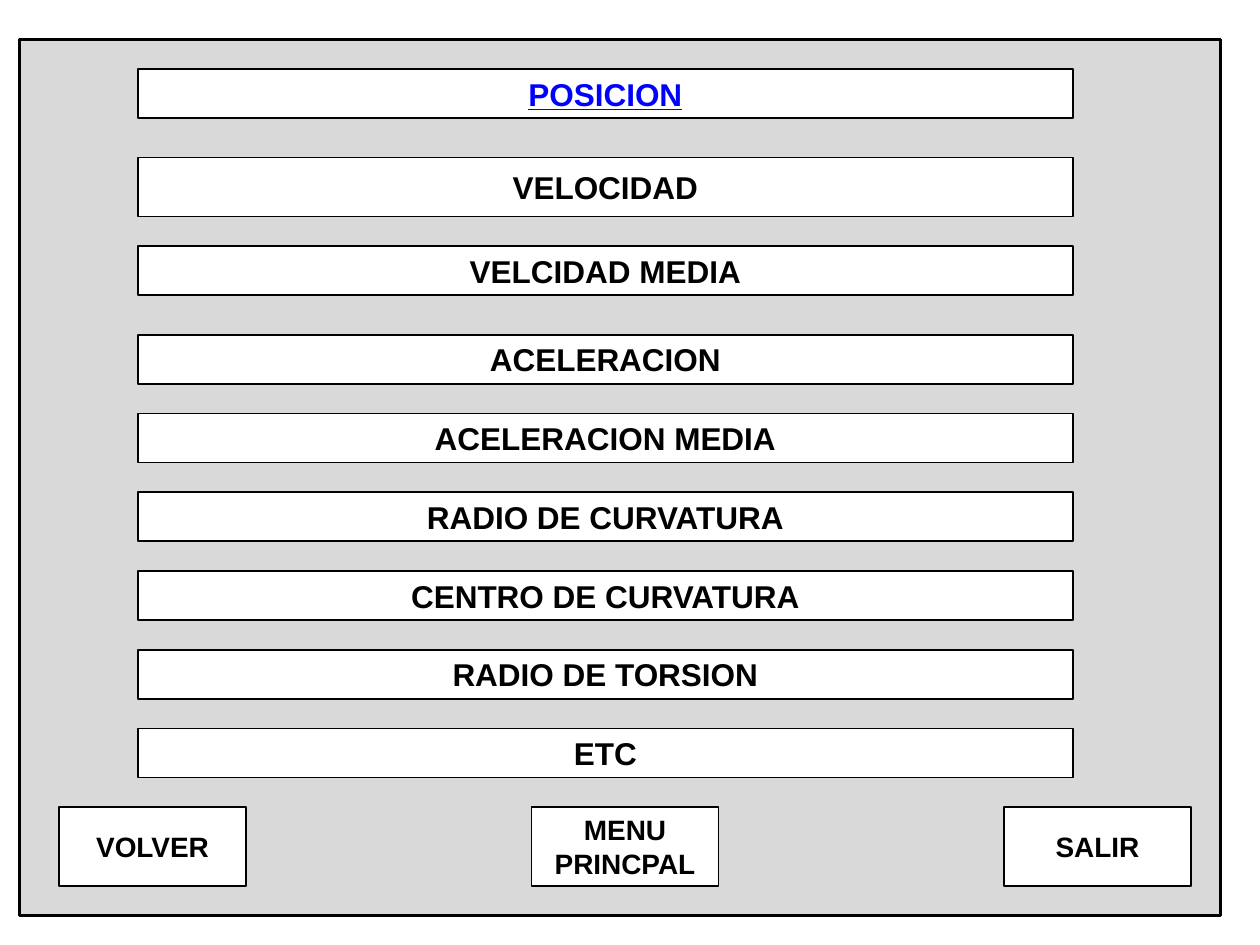
"""Build a menu slide of topic bars and navigation buttons."""
from dataclasses import dataclass
from itertools import chain

from pptx import Presentation
from pptx.dml.color import RGBColor
from pptx.enum.shapes import MSO_SHAPE
from pptx.enum.text import MSO_ANCHOR, PP_ALIGN
from pptx.util import Inches, Pt

RECT = MSO_SHAPE.RECTANGLE
MIDDLE = MSO_ANCHOR.MIDDLE
CENTER = PP_ALIGN.CENTER
WIDTH, HEIGHT = Inches(10), Inches(7.5)
COLS, ROWS = 128, 96


@dataclass(frozen=True)
class Theme:
    font: str = "Arial"
    panel: str = "D9D9D9"
    box: str = "FFFFFF"
    ink: str = "000000"
    link: str = "0000FF"
    topic: int = 18
    button: int = 16
    frame: int = 2
    edge: int = 1


@dataclass(frozen=True)
class Box:
    col: int
    row: int
    wide: int
    high: int
    text: str = ""
    size: int = 0
    fill: str = ""
    line: int = 1
    active: bool = False


THEME = Theme()


def draw(slide, box: Box) -> None:
    shape = slide.shapes.add_shape(
        RECT,
        WIDTH * box.col // COLS, HEIGHT * box.row // ROWS,
        WIDTH * box.wide // COLS, HEIGHT * box.high // ROWS)
    shape.shadow.inherit = False
    shape.fill.solid()
    shape.fill.fore_color.rgb = RGBColor.from_string(box.fill or THEME.box)
    shape.line.color.rgb = RGBColor.from_string(THEME.ink)
    shape.line.width = Pt(box.line)
    if box.text:
        write(shape.text_frame, box)


def write(frame, box: Box) -> None:
    frame.word_wrap = True
    frame.vertical_anchor = MIDDLE
    para = frame.paragraphs[0]
    para.alignment = CENTER
    run = para.add_run()
    run.text = box.text
    style = {"name": THEME.font, "size": Pt(box.size), "bold": True,
             "underline": box.active}
    for name, value in style.items():
        setattr(run.font, name, value)
    color = THEME.link if box.active else THEME.ink
    run.font.color.rgb = RGBColor.from_string(color)


def topics() -> list[Box]:
    upper = ["POSICION", "VELOCIDAD", "VELCIDAD MEDIA"]
    lower = ["ACELERACION", "ACELERACION MEDIA", "RADIO DE CURVATURA",
             "CENTRO DE CURVATURA", "RADIO DE TORSION", "ETC"]
    tops = chain(range(7, 34, 9), range(34, 82, 8))
    return [Box(14, top, 95, 6 if text == "VELOCIDAD" else 5, text,
                THEME.topic, line=THEME.edge, active=text == "POSICION")
            for text, top in zip(upper + lower, tops)]


def buttons() -> list[Box]:
    labels = ["VOLVER", "MENU PRINCPAL", "SALIR"]
    return [Box(6 + 48 * i, 82, 19, 8, text, THEME.button, line=THEME.edge)
            for i, text in enumerate(labels)]


def main() -> None:
    deck = Presentation()
    deck.slide_width, deck.slide_height = WIDTH, HEIGHT
    slide = deck.slides.add_slide(deck.slide_layouts[6])
    panel = Box(2, 4, 122, 89, fill=THEME.panel, line=THEME.frame)
    for box in [panel, *topics(), *buttons()]:
        draw(slide, box)
    deck.save("out.pptx")


main()
